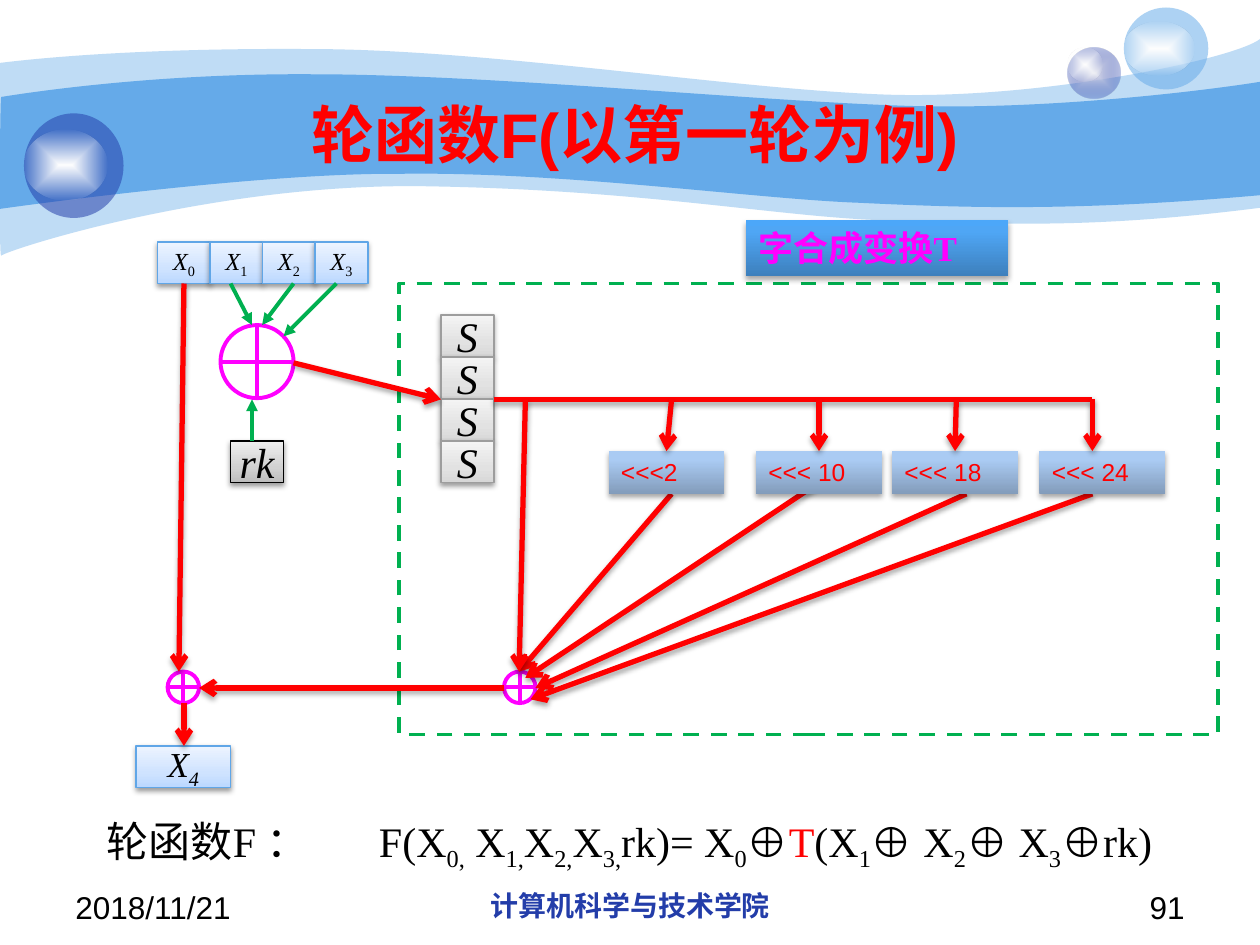
from lxml.etree import SubElement
from pptx import Presentation
from pptx.dml.color import RGBColor
from pptx.enum.dml import MSO_LINE
from pptx.enum.shapes import MSO_CONNECTOR, MSO_SHAPE
from pptx.enum.text import MSO_ANCHOR, MSO_AUTO_SIZE, PP_ALIGN
from pptx.oxml.ns import qn
from pptx.util import Inches, Pt

COLORS = {
    "sky": "65AAE9", "navy": "233DA9", "mist": "E1E2ED", "white": "FFFFFF",
    "black": "000000", "red": "FF0000", "green": "00B050", "magenta": "FF00FF",
    "word_line": "60A6E7", "sbox_line": "9D9D9D",
}
SERIF = "Times New Roman"
# Gradient stops: position in percent, colour, opacity in percent
WORD_FILL = [(0, "BBD8FF", 100), (35, "CFE3FF", 100), (100, "EDF4FF", 100)]
KEY_FILL = [(0, "BDBDBD", 100), (35, "D1D1D1", 100), (100, "EEEEEE", 100)]
SBOX_FILL = [(0, "D7D7D7", 100), (35, "E2E2E2", 100), (100, "F4F4F4", 100)]
SHIFT_FILL = [(0, "839CBB", 100), (80, "AACBF3", 100), (100, "A9CBF5", 100)]
LABEL_FILL = [(0, "3D80BD", 100), (80, "4FA6F5", 100), (100, "4CA7F9", 100)]
GLOW_FILL = [(0, COLORS["white"], 100), (100, COLORS["white"], 0)]
SMALL_BALL_FILL = [(0, COLORS["mist"], 100), (100, COLORS["navy"], 31)]

# Each curve: two control points and the end point; a pair is a straight edge
OUTER_WAVE = [(0.24, 0.47, 1.07, 0.38, 2.47, 0.39), (3.86, 0.39, 5.75, 0.7, 6.99, 0.75),
              (8.22, 0.8, 9.8, 0.47, 10, 0.31), (10, 1.65),
              (8.58, 1.83, 7.87, 1.77, 7.05, 1.75), (6.22, 1.73, 5.15, 1.51, 3.43, 1.48),
              (1.72, 1.44, 0.04, 1.99, 0.01, 2.03), (-0.01, 2.08, 0, 0.75, 0, 0.5)]
INNER_WAVE = [(0.02, 0.77, 1.1, 0.58, 2.48, 0.59), (3.86, 0.59, 5.95, 0.8, 7.18, 0.84),
              (8.41, 0.88, 9.76, 0.69, 10, 0.65), (10, 1.55),
              (8.53, 1.68, 7.65, 1.65, 6.82, 1.61), (5.99, 1.58, 4.47, 1.36, 3.17, 1.38),
              (2.03, 1.37, -0.02, 1.66, -0.01, 1.66), (0, 1.66, 0, 0.77, 0.01, 0.77)]


def rgb(name):
    return RGBColor.from_string(COLORS[name])


def set_alpha(color_element, percent):
    if percent < 100:
        SubElement(color_element, qn("a:alpha"), val=str(percent * 1000))


def fill_solid(shape, color, opacity=100):
    shape.fill.solid()
    shape.fill.fore_color.rgb = rgb(color)
    set_alpha(shape._element.spPr.find(".//" + qn("a:srgbClr")), opacity)


def fill_gradient(shape, stops, radial=False):
    """Blend the stops from bottom to top, or from the centre outwards."""
    shape.fill.background()
    gradient = shape._element.spPr.find(qn("a:noFill"))
    gradient.tag = qn("a:gradFill")
    stop_list = SubElement(gradient, qn("a:gsLst"))
    for position, color, opacity in stops:
        stop = SubElement(stop_list, qn("a:gs"), pos=str(position * 1000))
        set_alpha(SubElement(stop, qn("a:srgbClr"), val=color), opacity)
    if radial:
        center = SubElement(gradient, qn("a:path"), path="shape")
        SubElement(center, qn("a:fillToRect"), l="50000", t="50000", r="50000", b="50000")
    else:
        SubElement(gradient, qn("a:lin"), ang="16200000", scaled="0")


def add_shadow(effects, distance, opacity):
    shadow = SubElement(effects, qn("a:outerShdw"), blurRad=str(Pt(3.1)), dist=str(Pt(distance)),
                        dir="5400000", rotWithShape="0")
    set_alpha(SubElement(shadow, qn("a:srgbClr"), val=COLORS["black"]), opacity)


def add_outline_shape(slide, kind, left, top, width, height, line=None, weight=2.25):
    """Add an unfilled shape without shadow."""
    shape = slide.shapes.add_shape(kind, Inches(left), Inches(top), Inches(width), Inches(height))
    shape.shadow.inherit = False
    shape.fill.background()
    if line:
        shape.line.color.rgb = rgb(line)
        shape.line.width = Pt(weight)
    else:
        shape.line.fill.background()
    return shape


def add_wave(slide, start, pieces, opacity=100):
    """Build an outline through all points, then turn each triple into a Bezier curve."""
    builder = slide.shapes.build_freeform(Inches(start[0]), Inches(start[1]))
    for piece in pieces:
        points = [(Inches(x), Inches(y)) for x, y in zip(piece[::2], piece[1::2])]
        builder.add_line_segments(points, close=piece is pieces[-1])
    wave = builder.convert_to_shape()
    segments = iter(wave._element.findall(".//" + qn("a:lnTo")))
    for piece in pieces:
        curve = next(segments)
        if len(piece) == 6:
            curve.tag = qn("a:cubicBezTo")
            for segment in (next(segments), next(segments)):
                curve.append(segment[0])
                segment.getparent().remove(segment)
    wave.shadow.inherit = False
    wave.line.fill.background()
    fill_solid(wave, "sky", opacity)


def add_ball(slide, body, glow, color=None):
    ball = add_outline_shape(slide, MSO_SHAPE.OVAL, *body)
    if color:
        fill_solid(ball, color, 53)
    else:
        fill_gradient(ball, SMALL_BALL_FILL, radial=True)
    fill_gradient(add_outline_shape(slide, MSO_SHAPE.OVAL, *glow), GLOW_FILL, radial=True)


def format_paragraph(paragraph, size, color="black", font=SERIF, bold=False, italic=False,
                     align=PP_ALIGN.LEFT):
    paragraph.alignment = align
    paragraph.font.size = Pt(size)
    paragraph.font.name = font
    paragraph.font.bold = bold
    paragraph.font.italic = italic
    paragraph.font.color.rgb = rgb(color)


def add_subscript(paragraph, text):
    run = paragraph.add_run()
    run.text = text
    run.font._element.set("baseline", "-25000")
    return run


def add_cell(slide, left, top, text, stops, line, size, width=0.42):
    """Add a small centred box of the state, key or S-box kind."""
    cell = add_outline_shape(slide, MSO_SHAPE.RECTANGLE, left, top, width, 0.33, line, 0.75)
    fill_gradient(cell, stops)
    add_shadow(cell._element.spPr.find(qn("a:effectLst")), 1.6, 38)
    cell.text_frame.word_wrap = False
    cell.text_frame.vertical_anchor = MSO_ANCHOR.MIDDLE
    paragraph = cell.text_frame.paragraphs[0]
    format_paragraph(paragraph, size, italic=True, align=PP_ALIGN.CENTER)
    paragraph.add_run().text = text
    return paragraph


def add_label(slide, left, top, width, height, text, stops, **style):
    label = add_outline_shape(slide, MSO_SHAPE.RECTANGLE, left, top, width, height)
    fill_gradient(label, stops)
    add_shadow(label._element.spPr.find(qn("a:effectLst")), 1.8, 35)
    label.text_frame.vertical_anchor = MSO_ANCHOR.TOP
    label.text_frame.text = text
    format_paragraph(label.text_frame.paragraphs[0], **style)


def add_line(slide, start, end, color="red", weight=3, head="arrow"):
    line = slide.shapes.add_connector(MSO_CONNECTOR.STRAIGHT, *map(Inches, start + end))
    line.line.color.rgb = rgb(color)
    line.line.width = Pt(weight)
    if head:
        SubElement(line.line._get_or_add_ln(), qn("a:tailEnd"), type=head)
    effects = SubElement(line._element.spPr, qn("a:effectLst"))
    if color == "red":
        add_shadow(effects, 1.8, 35)


def add_text(slide, left, top, width, height):
    """Add an empty wrapping text box and return its paragraph."""
    box = slide.shapes.add_textbox(Inches(left), Inches(top), Inches(width), Inches(height))
    box.text_frame.word_wrap = True
    return box.text_frame.paragraphs[0]


def add_footer(slide, left, width, text, **style):
    paragraph = add_text(slide, left, 7, width, 0.35)
    paragraph.add_run().text = text
    format_paragraph(paragraph, font="Arial", **style)


def add_formula(slide):
    paragraph = add_text(slide, 0.75, 6.42, 8.6, 0.5)
    tabs = SubElement(paragraph._p.get_or_add_pPr(), qn("a:tabLst"))
    SubElement(tabs, qn("a:tab"), pos=str(Inches(2.16)), algn="l")
    format_paragraph(paragraph, 24)
    parts = [("轮函数F ：\tF(X", "0,"), (" X", "1,"), ("X", "2,"), ("X", "3,"), ("rk)= X", "0"),
             ("⊕", ""), ("T", ""), ("(X", "1"), ("⊕ X", "2"), ("⊕ X", "3"), ("⊕rk)", "")]
    for text, subscript in parts:
        run = paragraph.add_run()
        run.text = text
        if text == "T":
            run.font.color.rgb = rgb("red")
        if subscript:
            add_subscript(paragraph, subscript)


def add_background(slide):
    add_wave(slide, (0, 0.5), OUTER_WAVE, 41)
    add_wave(slide, (0.01, 0.77), INNER_WAVE)
    add_ball(slide, (8.47, 0.38, 0.42, 0.4), (8.47, 0.38, 0.28, 0.27))
    add_ball(slide, (8.92, 0.06, 0.67, 0.65), (8.92, 0.17, 0.56, 0.43), "sky")
    add_ball(slide, (0.19, 0.9, 0.79, 0.83), (0.19, 1.03, 0.66, 0.56), "navy")


def format_title(slide):
    title = slide.shapes.title
    slide.shapes._spTree.append(title._element)  # in front of the waves
    title.left, title.top, title.width, title.height = map(Inches, (1, 0.75, 8.08, 0.62))
    title.text_frame.text = "轮函数F(以第一轮为例)"
    title.text_frame.auto_size = MSO_AUTO_SIZE.NONE
    title.text_frame.vertical_anchor = MSO_ANCHOR.MIDDLE
    format_paragraph(title.text_frame.paragraphs[0], 36, "red", "Arial", bold=True,
                     align=PP_ALIGN.CENTER)


def add_diagram(slide):
    for index in range(4):
        word = add_cell(slide, 1.25 + index * 1.25 / 3, 1.92, "X", WORD_FILL, "word_line", 14)
        add_subscript(word, str(index)).font.italic = False
        add_cell(slide, 3.5, 2.5 + index / 3, "S", SBOX_FILL, "sbox_line", 24)
    add_cell(slide, 1.83, 3.5, "rk", KEY_FILL, "black", 24)
    add_subscript(add_cell(slide, 1.08, 5.92, "X", WORD_FILL, "word_line", 20, 0.75), "4")
    for left, top, size in [(1.75, 2.58, 0.58), (4, 5.33, 0.25), (1.33, 5.33, 0.25)]:
        add_outline_shape(slide, MSO_SHAPE.FLOWCHART_OR, left, top, size, size, "magenta")

    for start, end in [((2.33, 2.25), (2.08, 2.58)), ((1.83, 2.25), (2, 2.58)),
                       ((2.67, 2.25), (2.25, 2.67)), ((2, 3.5), (2, 3.17))]:
        add_line(slide, start, end, "green", 2.25, "triangle")

    shifts = [("<<<2", 4.83, 0.92, (5.33, 3.92), (4.12, 5.33)),
              ("<<< 10", 6, 1, (6.5, 3.83), (4.17, 5.38)),
              ("<<< 18", 7.08, 1, (7.67, 3.92), (4.25, 5.46)),
              ("<<< 24", 8.25, 1, (8.67, 3.92), (4.21, 5.55))]
    for text, left, width, start, end in shifts:
        add_line(slide, start, end)
        add_label(slide, left, 3.58, width, 0.34, text, SHIFT_FILL,
                  size=14, color="red", font="Arial")

    frame = add_outline_shape(slide, MSO_SHAPE.RECTANGLE, 3.17, 2.25, 6.5, 3.58, "green")
    frame.line.dash_style = MSO_LINE.DASH
    add_label(slide, 5.92, 1.75, 2.08, 0.44, "字合成变换T", LABEL_FILL,
              size=20, color="magenta", bold=True)

    add_line(slide, (3.92, 3.17), (8.67, 3.17), head=None)
    for start, end in [((2.33, 2.88), (3.5, 3.17)), ((4.17, 3.17), (4.12, 5.33)),
                       ((5.33, 3.17), (5.29, 3.58)), ((6.5, 3.17), (6.5, 3.58)),
                       ((7.59, 3.17), (7.58, 3.58)), ((8.67, 3.17), (8.67, 3.58)),
                       ((4, 5.46), (1.58, 5.46)), ((1.46, 2.25), (1.42, 5.33)),
                       ((1.46, 5.58), (1.46, 5.92))]:
        add_line(slide, start, end)


def main():
    presentation = Presentation()
    presentation.slide_width, presentation.slide_height = Inches(10), Inches(7.5)
    slide = presentation.slides.add_slide(presentation.slide_layouts[5])
    add_background(slide)
    format_title(slide)
    add_footer(slide, 0.5, 2.33, "2018/11/21", size=18)
    add_footer(slide, 3.42, 3.17, "计算机科学与技术学院", size=16, color="navy", bold=True,
               align=PP_ALIGN.CENTER)
    add_footer(slide, 7.17, 2.33, "91", size=18, align=PP_ALIGN.RIGHT)
    add_diagram(slide)
    add_formula(slide)
    presentation.save("out.pptx")


if __name__ == "__main__":
    main()
